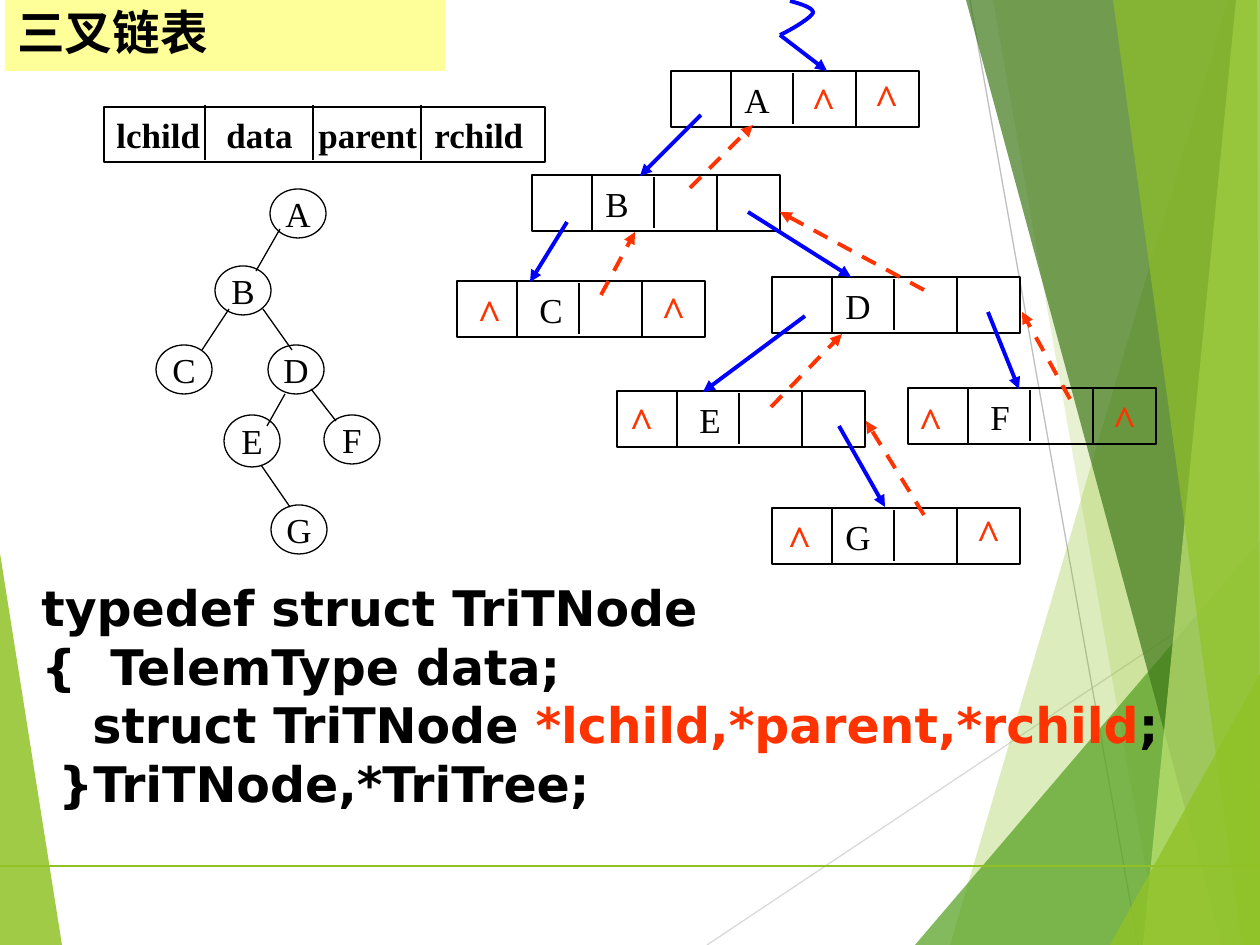
"""Build the slide on the triple-linked list form of a binary tree."""
from typing import NamedTuple

from lxml import etree
from pptx import Presentation
from pptx.dml.color import RGBColor
from pptx.enum.dml import MSO_LINE
from pptx.enum.shapes import MSO_CONNECTOR, MSO_SHAPE
from pptx.enum.text import MSO_ANCHOR, PP_ALIGN
from pptx.oxml.ns import qn
from pptx.util import Pt

RECT, OVAL = MSO_SHAPE.RECTANGLE, MSO_SHAPE.OVAL
LINE, DASH = MSO_CONNECTOR.STRAIGHT, MSO_LINE.DASH
MID, TOP = MSO_ANCHOR.MIDDLE, MSO_ANCHOR.TOP
LEFT, CENTER = PP_ALIGN.LEFT, PP_ALIGN.CENTER
PX = 914400 / 126
WIDE, HIGH = 1260, 945
SERIF, SANS, HAN = "Times New Roman", "DejaVu Sans", "Noto Sans CJK SC"
COLORS = {
    "black": "000000", "blue": "0000FF", "red": "FF3300", "cream": "FFFF99",
    "lime": "90C226", "leaf": "54A021", "moss": "3F7819", "pale": "C0E474",
    "silver": "D9D9D9", "gray": "BFBFBF",
}


class Box(NamedTuple):
    x: int
    y: int
    w: int
    h: int


class Seg(NamedTuple):
    x1: int
    y1: int
    x2: int
    y2: int


class Facet(NamedTuple):
    color: str
    alpha: int
    points: list


class Style(NamedTuple):
    size: float
    face: str = SERIF
    color: str = "black"
    bold: bool = False
    align: PP_ALIGN = LEFT
    wrap: bool = True


class Cell(NamedTuple):
    name: str
    x: int
    y: int
    indent: int


class Node(NamedTuple):
    name: str
    x: int
    y: int
    h: int = 49


FACETS = [
    Facet("lime", 85, [(0, 553), (62, HIGH), (0, HIGH)]),
    Facet("lime", 30, [(1228, 0), (950, HIGH), (WIDE, HIGH), (WIDE, 0)]),
    Facet("lime", 20, [(993, 0), (1159, HIGH), (WIDE, HIGH), (WIDE, 0)]),
    Facet("leaf", 72, [(915, HIGH), (WIDE, 541), (WIDE, HIGH)]),
    Facet("moss", 70, [(966, 0), (1222, HIGH), (WIDE, HIGH), (WIDE, 0)]),
    Facet("pale", 70, [(1236, 0), (1143, HIGH), (WIDE, HIGH), (WIDE, 0)]),
    Facet("lime", 65, [(1113, 0), (1242, HIGH), (WIDE, HIGH), (1257, 0)]),
    Facet("lime", 80, [(1110, HIGH), (WIDE, 674), (WIDE, HIGH)]),
]
NODES = [
    Node("A", 270, 189), Node("B", 215, 266), Node("C", 156, 345),
    Node("D", 268, 345), Node("E", 224, 415, 52), Node("F", 324, 415),
    Node("G", 271, 505),
]
EDGES = [
    Seg(280, 229, 256, 271), Seg(229, 309, 202, 350), Seg(263, 309, 292, 350),
    Seg(285, 394, 267, 426), Seg(311, 389, 336, 421), Seg(261, 465, 290, 507),
]
CELLS = [
    Cell("A", 671, 71, 61), Cell("B", 532, 175, 61), Cell("C", 457, 281, 70),
    Cell("D", 772, 277, 61), Cell("E", 617, 391, 70), Cell("F", 908, 388, 70),
    Cell("G", 772, 508, 61),
]
DOWN = [
    Seg(701, 115, 640, 176), Seg(567, 222, 530, 282), Seg(805, 316, 703, 392),
    Seg(748, 212, 851, 277), Seg(988, 312, 1019, 389), Seg(839, 426, 885, 507),
    Seg(780, 35, 827, 71),
]
BACK = [
    Seg(690, 188, 753, 125), Seg(601, 295, 635, 232), Seg(924, 290, 780, 212),
    Seg(771, 407, 842, 334), Seg(924, 515, 866, 421), Seg(1070, 399, 1022, 312),
]
CARETS = [
    (799, 69), (862, 66), (465, 281), (649, 278), (617, 389), (906, 389),
    (1100, 387), (775, 507), (964, 501),
]
CURVES = [
    [(790, 1), (801, 4), (814, 8), (813, 13)],
    [(813, 13), (810, 19), (787, 32), (780, 35)],
]
CODE = [
    [("typedef struct TriTNode", "black")],
    [("{  TelemType data;", "black")],
    [("   struct TriTNode ", "black"), ("*lchild,*parent,*rchild", "red"), (";", "black")],
    [(" }TriTNode,*TriTree;", "black")],
]


def emu(n: float) -> int:
    return round(n * PX)


def rgb(name: str) -> RGBColor:
    return RGBColor.from_string(COLORS[name])


def draw_line(shapes, seg: Seg, color="black", width=0.75, arrow=False, dash=False):
    line = shapes.add_connector(LINE, *map(emu, seg))
    etree.SubElement(line._element.spPr, qn("a:effectLst"))
    line.line.color.rgb = rgb(color)
    line.line.width = Pt(width)
    if dash:
        line.line.dash_style = DASH
    if arrow:
        etree.SubElement(line.line._get_or_add_ln(), qn("a:tailEnd"), type="triangle")


def draw_path(shapes, points: list, close: bool):
    spots = [(emu(x), emu(y)) for x, y in points]
    pen = shapes.build_freeform(*spots[0], scale=1.0)
    pen.add_line_segments(spots[1:], close=close)
    shape = pen.convert_to_shape()
    shape.shadow.inherit = False
    return shape


def draw_facet(shapes, facet: Facet):
    shape = draw_path(shapes, facet.points, True)
    shape.fill.solid()
    shape.fill.fore_color.rgb = rgb(facet.color)
    shape.line.fill.background()
    tint = shape._element.spPr.find(".//" + qn("a:srgbClr"))
    etree.SubElement(tint, qn("a:alpha"), val=str(facet.alpha * 1000))


def draw_curl(shapes):
    points = []
    for a, b, c, d in CURVES:
        for t in (i / 10 for i in range(11)):
            u = 1 - t
            parts = (u**3, 3 * u * u * t, 3 * u * t * t, t**3)
            points.append(tuple(sum(k * p[n] for k, p in zip(parts, (a, b, c, d)))
                                for n in (0, 1)))
    curl = draw_path(shapes, points, False)
    curl.fill.background()
    curl.line.color.rgb = rgb("blue")
    curl.line.width = Pt(2.25)


def draw_shape(shapes, kind, box: Box, fill=None):
    shape = shapes.add_shape(kind, *map(emu, box))
    shape.shadow.inherit = False
    if fill:
        shape.fill.solid()
        shape.fill.fore_color.rgb = rgb(fill)
        shape.line.fill.background()
    else:
        shape.fill.background()
        shape.line.color.rgb = rgb("black")
        shape.line.width = Pt(0.75)
    return shape


def set_text(shape, text: str, style: Style, anchor=MID, stops=(), indent=0):
    frame = shape.text_frame
    frame.word_wrap = style.wrap
    frame.vertical_anchor = anchor
    para = frame.paragraphs[0]
    para.text = text
    para.alignment = style.align
    props = para._p.get_or_add_pPr()
    if indent:
        props.set("marL", str(emu(indent)))
    if stops:
        tabs = etree.SubElement(props, qn("a:tabLst"))
        for stop in stops:
            etree.SubElement(tabs, qn("a:tab"), pos=str(emu(stop)), algn="l")
    font = para.font
    font.size, font.name, font.bold = Pt(style.size), style.face, style.bold
    font.color.rgb = rgb(style.color)
    etree.SubElement(props.find(qn("a:defRPr")), qn("a:ea"), typeface=style.face)
    return para


def draw_cell(shapes, cell: Cell):
    box = draw_shape(shapes, RECT, Box(cell.x, cell.y, 248, 56))
    set_text(box, cell.name, Style(20), indent=cell.indent)
    for dx, top, end in ((60, 0, 56), (122, 2, 53), (185, 0, 56)):
        x = cell.x + dx
        draw_line(shapes, Seg(x, cell.y + top, x, cell.y + end))


def draw_code(shapes):
    box = shapes.add_textbox(*map(emu, Box(29, 571, 1176, 248)))
    para = set_text(box, "", Style(28, SANS, bold=True), TOP)
    for i, row in enumerate(CODE):
        if i:
            para.add_line_break()
        for text, color in row:
            run = para.add_run()
            run.text = text
            run.font.color.rgb = rgb(color)


def main():
    deck = Presentation()
    deck.slide_width, deck.slide_height = emu(WIDE), emu(HIGH)
    shapes = deck.slides.add_slide(deck.slide_layouts[6]).shapes
    draw_facet(shapes, FACETS[0])
    draw_line(shapes, Seg(707, HIGH, WIDE, 576), "silver")
    draw_line(shapes, Seg(970, 0, 1138, HIGH), "gray")
    for facet in FACETS[1:]:
        draw_facet(shapes, facet)
    draw_line(shapes, Seg(0, 866, WIDE, 866), "lime")
    title = draw_shape(shapes, RECT, Box(5, 0, 440, 71), "cream")
    set_text(title, "三叉链表", Style(27.2, HAN, bold=True)).line_spacing = 0.9
    for node in NODES:
        oval = draw_shape(shapes, OVAL, Box(node.x, node.y, 56, node.h))
        set_text(oval, node.name, Style(20, align=CENTER, wrap=False))
    for edge in EDGES:
        draw_line(shapes, edge)
    for cell in CELLS:
        draw_cell(shapes, cell)
    for seg in DOWN:
        draw_line(shapes, seg, "blue", 2.25, arrow=True)
    for seg in BACK:
        draw_line(shapes, seg, "red", 2.25, arrow=True, dash=True)
    draw_curl(shapes)
    for x, y in CARETS:
        caret = shapes.add_textbox(*map(emu, Box(x, y, 49, 63)))
        set_text(caret, "^", Style(24, color="red", bold=True, align=CENTER, wrap=False))
    head = draw_shape(shapes, RECT, Box(104, 107, 441, 55))
    set_text(head, "lchild\tdata\tparent\trchild", Style(20, bold=True), stops=(110, 202, 318))
    for x in (205, 313, 421):
        draw_line(shapes, Seg(x, 105, x, 160))
    draw_code(shapes)
    deck.save("out.pptx")


if __name__ == "__main__":
    main()
